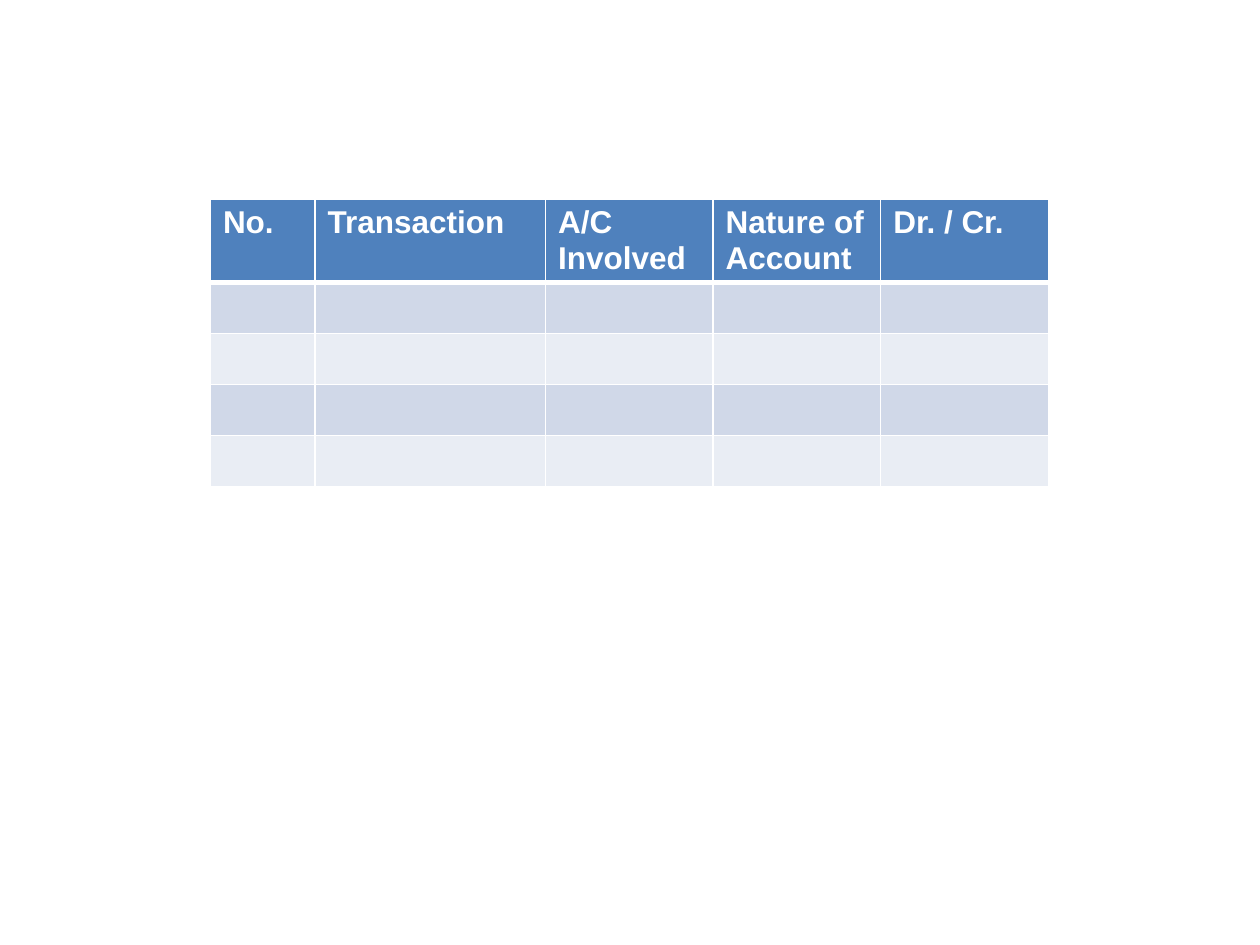
"""Build a slide with an empty table for analysing accounting transactions."""
from lxml.etree import SubElement
from pptx import Presentation
from pptx.dml.color import RGBColor
from pptx.oxml.ns import qn
from pptx.util import Inches, Pt

HEADINGS = ["No.", "Transaction", "A/C Involved", "Nature of Account", "Dr. / Cr."]
COLUMN_WIDTHS = [0.83, 1.83, 1.33, 1.33, 1.33]
ENTRY_ROWS = 4
HEADING_HEIGHT, ENTRY_HEIGHT = 0.66, 0.405
LEFT, TOP = 1.67, 1.58

WHITE = RGBColor(0xFF, 0xFF, 0xFF)
HEADING_BLUE = RGBColor(0x4F, 0x81, 0xBD)
BANDS = [RGBColor(0xD0, 0xD8, 0xE8), RGBColor(0xE9, 0xED, 0xF4)]


def add_border(cell, side, points):
    properties = cell._tc.get_or_add_tcPr()
    line = SubElement(properties, qn(f"a:ln{side}"), w=str(Pt(points)))
    fill = SubElement(line, qn("a:solidFill"))
    SubElement(fill, qn("a:srgbClr"), val=str(WHITE))


def style_cell(cell, color, top=1, bottom=1):
    for side, points in zip("LRTB", (1, 1, top, bottom)):
        add_border(cell, side, points)
    cell.fill.solid()
    cell.fill.fore_color.rgb = color


def add_heading(cell, heading):
    run = cell.text_frame.paragraphs[0].add_run()
    run.text = heading
    run.font.name = "Arial"
    run.font.size = Pt(18)
    run.font.bold = True
    run.font.color.rgb = WHITE


def main():
    deck = Presentation()
    deck.slide_width, deck.slide_height = Inches(10), Inches(7.5)
    slide = deck.slides.add_slide(deck.slide_layouts[6])

    heights = [HEADING_HEIGHT] + [ENTRY_HEIGHT] * ENTRY_ROWS
    journal = slide.shapes.add_table(
        len(heights), len(HEADINGS), Inches(LEFT), Inches(TOP),
        Inches(sum(COLUMN_WIDTHS)), Inches(sum(heights))).table

    for column, width in zip(journal.columns, COLUMN_WIDTHS):
        column.width = Inches(width)
    for row, height in zip(journal.rows, heights):
        row.height = Inches(height)

    heading_row, *entry_rows = journal.rows
    for cell, heading in zip(heading_row.cells, HEADINGS):
        style_cell(cell, HEADING_BLUE, bottom=3)
        add_heading(cell, heading)
    for index, row in enumerate(entry_rows):
        for cell in row.cells:
            style_cell(cell, BANDS[index % 2], top=1 if index else 3)

    deck.save("out.pptx")


if __name__ == "__main__":
    main()
